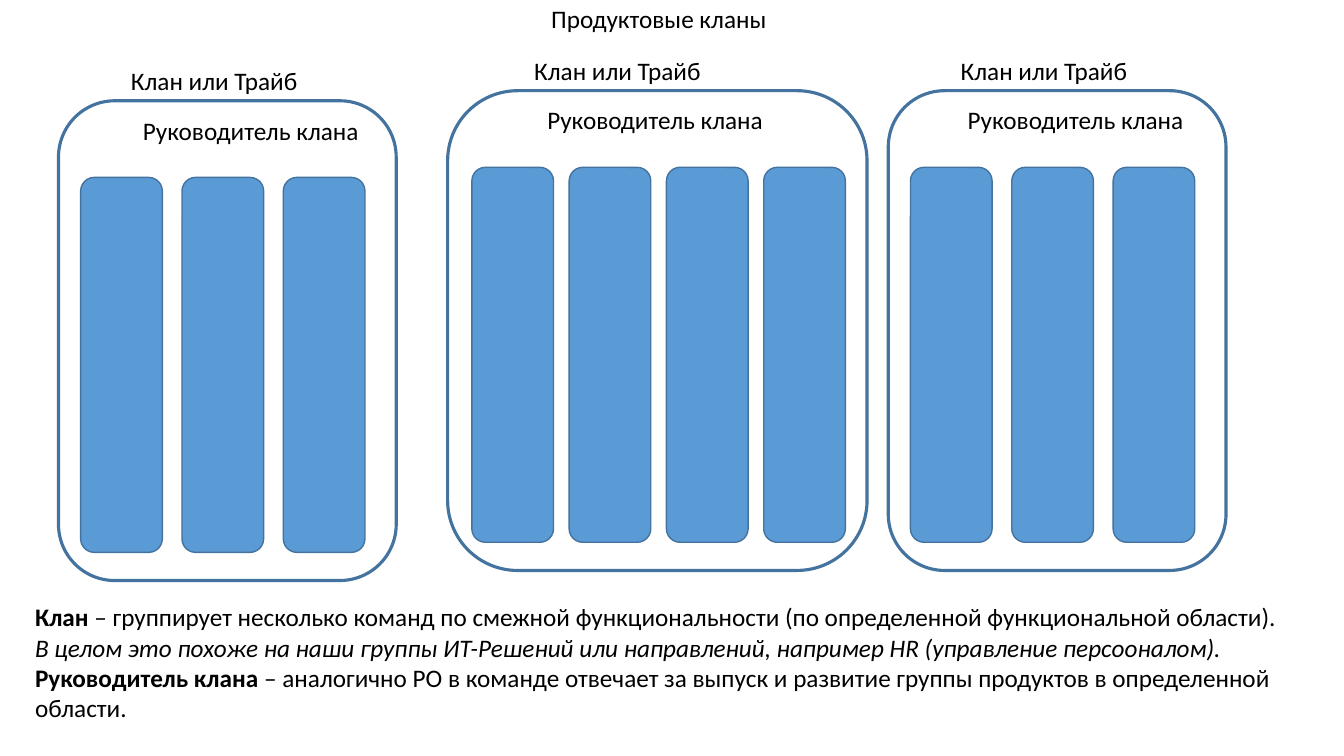
"""Build the slide about product clans and their teams."""
from pptx import Presentation
from pptx.dml.color import RGBColor
from pptx.enum.shapes import MSO_SHAPE
from pptx.enum.text import MSO_AUTO_SIZE, PP_ALIGN
from pptx.util import Inches, Pt

ROUNDED = MSO_SHAPE.ROUNDED_RECTANGLE
GROW = MSO_AUTO_SIZE.SHAPE_TO_FIT_TEXT
LEFT, CENTER = PP_ALIGN.LEFT, PP_ALIGN.CENTER
COLUMNS, ROWS = 133.3, 75
TEAM_WIDTH, TEAM_HEIGHT, CLAN_HEIGHT, LINE_HEIGHT = 8.1, 37.2, 47.6, 4

presentation = Presentation()
presentation.slide_width = Inches(13.33)
presentation.slide_height = Inches(7.5)
slide = presentation.slides.add_slide(presentation.slide_layouts[6])
column = presentation.slide_width / COLUMNS
row = presentation.slide_height / ROWS


def add_text(paragraphs, left, top, width, height, size=18, color="000000", align=LEFT):
    """Add a text box; each paragraph is a list of (text, bold, italic)."""
    box = slide.shapes.add_textbox(
        int(left * column), int(top * row), int(width * column), int(height * row))
    frame = box.text_frame
    frame.word_wrap = True
    frame.auto_size = GROW
    for index, runs in enumerate(paragraphs):
        paragraph = frame.add_paragraph() if index else frame.paragraphs[0]
        paragraph.alignment = align
        for text, bold, italic in runs:
            run = paragraph.add_run()
            run.text = text
            run.font.name = "Calibri"
            run.font.size = Pt(size)
            run.font.bold = bold
            run.font.italic = italic
            run.font.color.rgb = RGBColor.from_string(color)


def add_block(left, top, width, height, line_width, fill=None):
    """Add a rounded rectangle, hollow unless a fill is given."""
    shape = slide.shapes.add_shape(
        ROUNDED, int(left * column), int(top * row), int(width * column), int(height * row))
    shape.shadow.inherit = False
    shape.line.color.rgb = RGBColor.from_string("43739E")
    shape.line.width = Pt(line_width)
    if fill:
        shape.fill.solid()
        shape.fill.fore_color.rgb = RGBColor.from_string(fill)
    else:
        shape.fill.background()


add_text([[("Продуктовые кланы", False, False)]], -1.3, -0.2, COLUMNS, LINE_HEIGHT, align=CENTER)

clans = [
    dict(left=5.8, top=10, width=33.5, teams=3, first=8, pitch=10.05, title=12, leader=13.2),
    dict(left=44.4, top=9, width=41.6, teams=4, first=46.8, pitch=9.65, title=52, leader=53.3),
    dict(left=88.1, top=9, width=33.5, teams=3, first=90.3, pitch=10.05, title=94.3, leader=95),
]
for clan in clans:
    top = clan["top"]
    for team in range(clan["teams"]):
        add_block(clan["first"] + team * clan["pitch"], top + 7.6,
                  TEAM_WIDTH, TEAM_HEIGHT, 1, fill="5B9BD5")
    add_block(clan["left"], top, clan["width"], CLAN_HEIGHT, 2.25)
    add_text([[("Клан или Трайб", False, False)]], clan["title"], top - 4, 26.2, LINE_HEIGHT)
    add_text([[("Руководитель клана", False, False)]], clan["leader"], top + 0.9, 25.3, LINE_HEIGHT)

definitions = [
    [("Клан", True, False),
     (" – группирует несколько команд по смежной функциональности "
      "(по определенной функциональной области).", False, False)],
    [("В целом это похоже на наши группы ИТ-Решений или направлений, "
      "например HR (управление персооналом).", False, True)],
    [("Руководитель клана ", True, False),
     ("– аналогично PO в команде отвечает за выпуск и развитие группы продуктов "
      "в определенной области.", False, False)],
]
add_text(definitions, 2.5, 59.2, 125.4, 13.1)

presentation.save("out.pptx")
